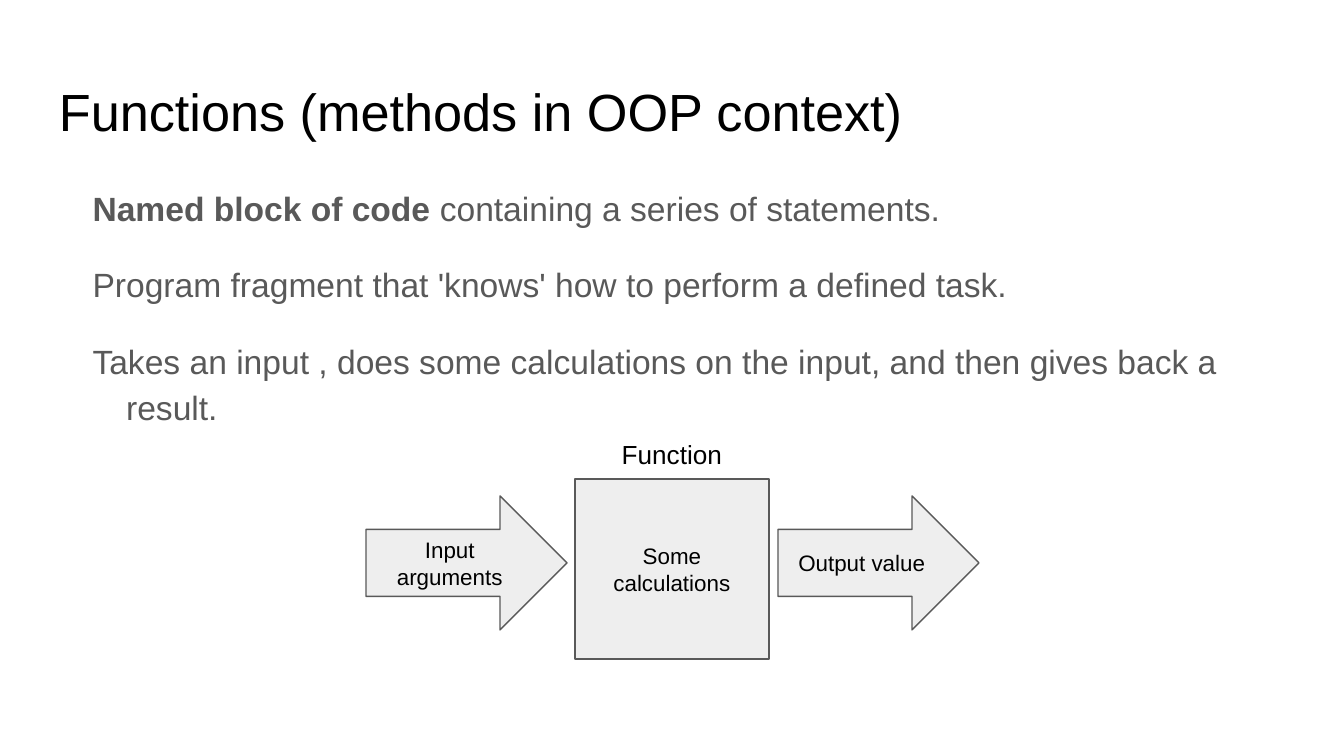
from pptx import Presentation
from pptx.dml.color import RGBColor
from pptx.enum.shapes import MSO_SHAPE as SHAPE
from pptx.enum.text import MSO_ANCHOR as ANCHOR, PP_ALIGN as ALIGN
from pptx.util import Emu, Pt

SCALE = 914400 / 134.4
BLACK, GREY, PALE = "000000", "595959", "EEEEEE"


def px(n):
    """Turn pixels into EMU."""
    return Emu(round(n * SCALE))


def color(hex_text):
    """Turn a hex string into a colour."""
    return RGBColor.from_string(hex_text)


def write(s, paragraphs, size, ink=BLACK, anchor=ANCHOR.TOP, hanging=0, **formats):
    """Fill a shape with paragraphs, each a list of (text, bold) runs."""
    tf = s.text_frame
    frame = {"word_wrap": True, "vertical_anchor": anchor}
    frame.update({f"margin_{side}": px(13) for side in ("left", "top", "right", "bottom")})
    for name, value in frame.items():
        setattr(tf, name, value)
    for i, runs in enumerate(paragraphs):
        p = tf.add_paragraph() if i else tf.paragraphs[0]
        for name, value in formats.items():
            setattr(p, name, value)
        if hanging:
            pPr = p._p.get_or_add_pPr()
            pPr.set("marL", str(px(2 * hanging)))
            pPr.set("indent", str(-px(hanging)))
        for text, bold in runs:
            r = p.add_run()
            r.text = text
            for name, value in {"name": "Arial", "size": Pt(size), "bold": bold}.items():
                setattr(r.font, name, value)
            r.font.color.rgb = color(ink)


def add_text(shapes, box, paragraphs, size, **formats):
    """Add a text box at a pixel box."""
    write(shapes.add_textbox(*map(px, box)), paragraphs, size, **formats)


def add_block(shapes, kind, box, text):
    """Add a pale outlined shape with a centred caption."""
    s = shapes.add_shape(kind, *map(px, box))
    s.shadow.inherit = False
    s.fill.solid()
    s.fill.fore_color.rgb = color(PALE)
    s.line.color.rgb = color(GREY)
    s.line.width = Pt(0.75)
    write(s, [[(text, False)]], 12, anchor=ANCHOR.MIDDLE, alignment=ALIGN.CENTER)


def add_diagram(sp, box):
    """Draw the input, function and output as one group centred in the box."""
    left, top, width, height = box
    arrow_w, arrow_h, block_w, block_h = 201, 134, 194, 180
    block_x = left + (width - block_w) // 2
    block_y = top + height - block_h
    arrow_y = block_y + 17
    shapes = sp.add_group_shape().shapes
    for kind, part, text in (
        (SHAPE.RIGHT_ARROW, (left, arrow_y, arrow_w, arrow_h), "Input arguments"),
        (SHAPE.RECTANGLE, (block_x, block_y, block_w, block_h), "Some calculations"),
        (SHAPE.RIGHT_ARROW, (left + width - arrow_w, arrow_y, arrow_w, arrow_h), "Output value"),
    ):
        add_block(shapes, kind, part, text)
    add_text(shapes, (block_x, top, block_w, 35), [[("Function", False)]], 14,
             anchor=ANCHOR.MIDDLE, alignment=ALIGN.CENTER)


def add_function_slide(prs, box):
    """Place the title, the definition and the diagram in the box."""
    left, top, width, height = box
    sp = prs.slides.add_slide(prs.slide_layouts[6]).shapes
    add_text(sp, (left, top, width, 85), [[("Functions (methods in OOP context)", False)]], 28)
    definition = [
        [("Named block of code", True), (" containing a series of statements.", False)],
        [("Program fragment that 'knows' how to perform a defined task.", False)],
        [("Takes an input , does some calculations on the input, "
          "and then gives back a result.", False)],
    ]
    add_text(sp, (left, top + 103, width, 253), definition, 18, ink=GREY, hanging=33.6,
             line_spacing=1.15, space_after=Pt(16))
    add_diagram(sp, (left + 320, top + height - 222, 613, 222))


prs = Presentation()
prs.slide_width, prs.slide_height = px(1344), px(756)
add_function_slide(prs, (46, 66, 1253, 593))
prs.save("out.pptx")
